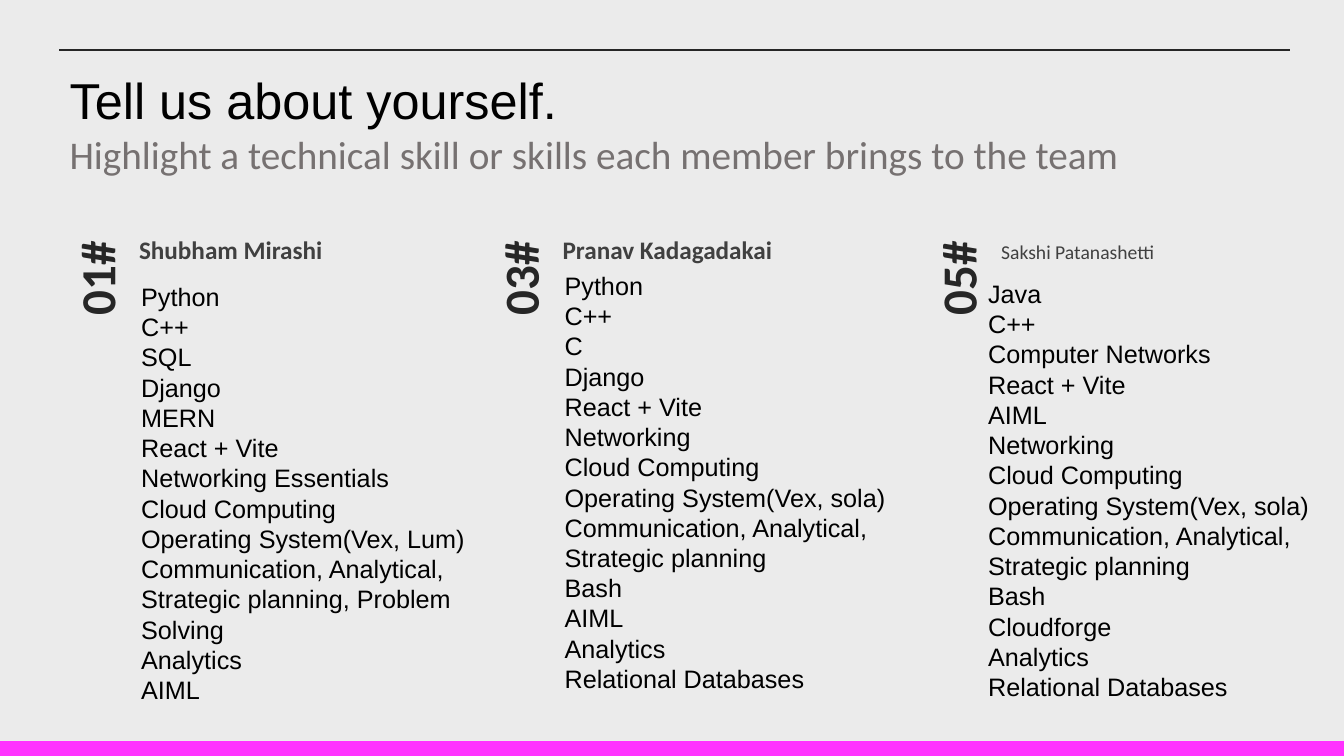
import pptx
import pptx.util
import pptx.dml.color
import pptx.enum.shapes
import pptx.enum.text
import lxml.etree

PX = 9144
HUES = {
    "back": "EBEBEB",
    "ink": "000000",
    "gray": "767171",
    "name": "404040",
    "dark": "262626",
    "pink": "FF32FF",
}
SKILLS = "Communication, Analytical, Strategic planning"
TEAM = [
    {
        "num": "01#", "num_x": 37,
        "name": "Shubham Mirashi", "name_box": (138, 235, 237, 29),
        "size": 18, "bold": True, "top": 274,
        "list": ["Python", "C++", "SQL", "Django", "MERN", "React + Vite",
                 "Networking Essentials", "Cloud Computing",
                 "Operating System(Vex, Lum)", SKILLS + ", Problem Solving",
                 "Analytics", "AIML"],
    },
    {
        "num": "03#", "num_x": 457,
        "name": "Pranav Kadagadakai", "name_box": (558, 235, 214, 29),
        "size": 18, "bold": True, "top": 263,
        "list": ["Python", "C++", "C", "Django", "React + Vite", "Networking",
                 "Cloud Computing", "Operating System(Vex, sola)", SKILLS,
                 "Bash", "AIML", "Analytics", "Relational Databases"],
    },
    {
        "num": "05#", "num_x": 891,
        "name": "Sakshi Patanashetti", "name_box": (993, 240, 214, 22),
        "size": 14, "bold": False, "top": 271,
        "list": ["Java", "C++", "Computer Networks", "React + Vite", "AIML",
                 "Networking", "Cloud Computing",
                 "Operating System(Vex, sola)", SKILLS, "Bash", "Cloudforge",
                 "Analytics", "Relational Databases"],
    },
]


def color(key):
    return pptx.dml.color.RGBColor.from_string(HUES[key])


def place(shape, box):
    shape.left, shape.top, shape.width, shape.height = [n * PX for n in box]


def set_frame(frame, pad_x=10, pad_y=5):
    frame.word_wrap = True
    frame.auto_size = pptx.enum.text.MSO_AUTO_SIZE.NONE
    frame.vertical_anchor = pptx.enum.text.MSO_ANCHOR.TOP
    frame.margin_left = frame.margin_right = pad_x * PX
    frame.margin_top = frame.margin_bottom = pad_y * PX


def add_run(para, text, size, face, hue, bold=False):
    run = para.add_run()
    run.text = text
    run.font.size = pptx.util.Pt(size)
    run.font.name = face
    run.font.bold = bold
    run.font.color.rgb = color(hue)


def add_line(slide, start, end, hue, width):
    line = slide.shapes.add_connector(
        pptx.enum.shapes.MSO_CONNECTOR.STRAIGHT,
        *[n * PX for n in start + end])
    line.line.color.rgb = color(hue)
    line.line.width = pptx.util.Pt(width)
    props = line.element.spPr
    lxml.etree.SubElement(props, pptx.oxml.ns.qn("a:effectLst"))


def add_text(slide, box, text, size, hue, bold, pad_x=0, pad_y=0):
    shape = slide.shapes.add_textbox(0, 0, 0, 0)
    place(shape, box)
    set_frame(shape.text_frame, pad_x, pad_y)
    add_run(shape.text_frame.paragraphs[0], text, size, "Calibri", hue, bold)
    return shape


def fill_title(shape):
    place(shape, (59, 64, 1259, 118))
    set_frame(shape.text_frame)
    para = shape.text_frame.paragraphs[0]
    para.alignment = pptx.enum.text.PP_ALIGN.LEFT
    add_run(para, "Tell us about yourself.", 36, "Arial", "ink")
    para.add_line_break()
    add_run(para, "Highlight a technical skill or skills each member brings"
            " to the team", 28, "Calibri", "gray")


def fill_list(shape, box, items):
    place(shape, box)
    frame = shape.text_frame
    set_frame(frame)
    for i, item in enumerate(items):
        para = frame.add_paragraph() if i else frame.paragraphs[0]
        para.line_spacing = pptx.util.Pt(21.6)
        para.space_before = para.space_after = pptx.util.Pt(0)
        props = para._p.get_or_add_pPr()
        props.set("marL", "0")
        props.set("indent", "0")
        lxml.etree.SubElement(props, pptx.oxml.ns.qn("a:buNone"))
        add_run(para, item, 18, "Arial", "ink")


def add_head(slide, mate):
    name = add_text(slide, mate["name_box"], mate["name"], mate["size"],
                    "name", mate["bold"])
    name.text_frame.paragraphs[0].line_spacing = 0.95
    num = add_text(slide, (mate["num_x"], 230, 117, 69), mate["num"], 35,
                   "dark", True, 10, 5)
    num.rotation = 270


def main():
    deck = pptx.Presentation()
    deck.slide_width = 1333 * PX
    deck.slide_height = 750 * PX
    slide = deck.slides.add_slide(deck.slide_layouts[4])
    slide.background.fill.solid()
    slide.background.fill.fore_color.rgb = color("back")

    fill_title(slide.shapes.title)
    add_line(slide, (59, 50), (1279, 50), "dark", 1.5)
    add_line(slide, (0, 743), (1333, 743), "pink", 12)

    bodies = list(slide.placeholders)[1:]
    for i, mate in enumerate(TEAM):
        add_head(slide, mate)
        fill_list(bodies[i], (130 + 420 * i, mate["top"], 342, 450),
                  mate["list"])
    for spare in bodies[len(TEAM):]:
        spare.element.getparent().remove(spare.element)

    deck.save("out.pptx")


if __name__ == "__main__":
    main()
